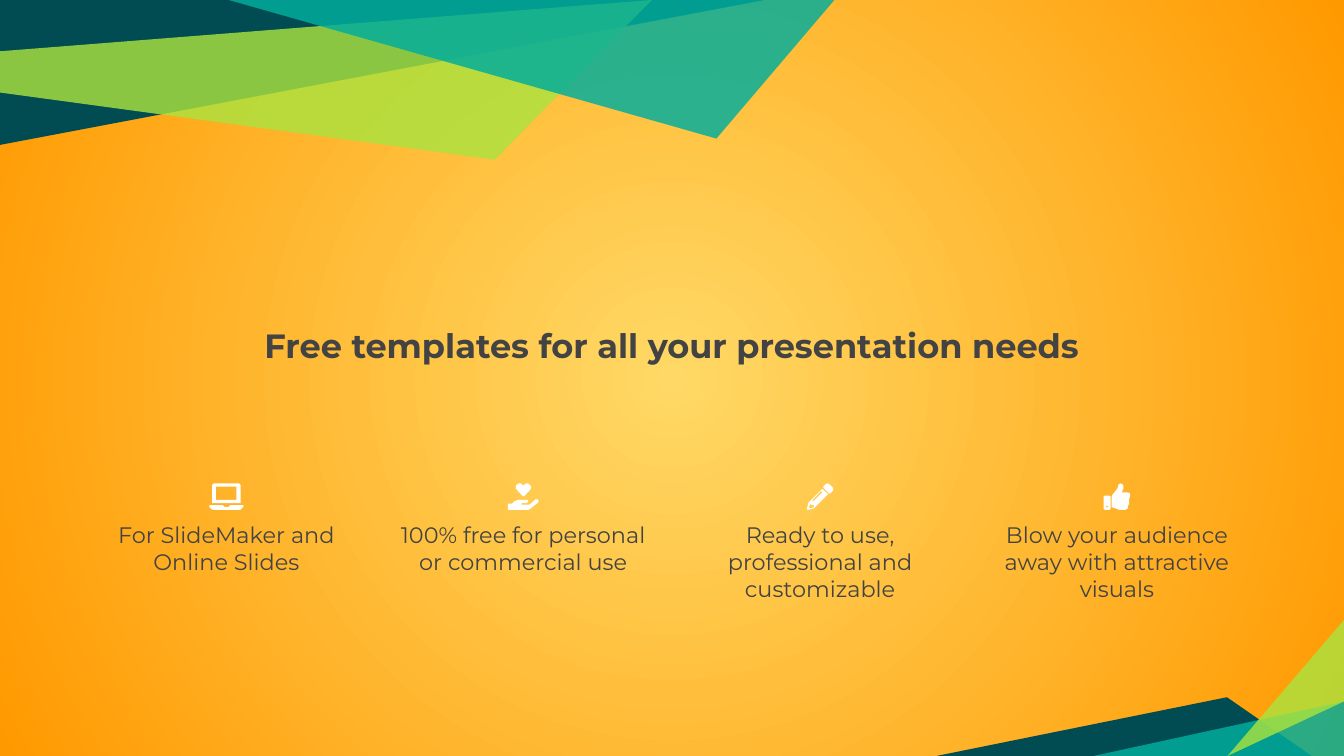
from lxml import etree
from pptx import Presentation
from pptx import util as u
from pptx.dml.color import RGBColor
from pptx.enum import text
from pptx.oxml.ns import qn

COLORS = {
    "glow": "FFD966", "edge": "FF9900", "dark": "004C52",
    "lime": "ABE33F", "teal": "00AE9D", "ink": "434343", "white": "FFFFFF",
}
FONT = "Montserrat"
SLIDE_WIDTH, SLIDE_HEIGHT = 25.4, 14.29

# Corner facets: colour, opacity in percent, corner points in cm
TOP_FACETS = [
    ("dark", 100, [(0, 0), (0, 2.74), (14.45, 0)]),
    ("lime", 81, [(0, 0.97), (0, 1.75), (9.35, 3.02), (12.32, 0)]),
    ("teal", 83, [(4.32, 0), (13.54, 2.62), (15.77, 0)]),
]
BOTTOM_FACETS = [
    ("dark", 100, [(0, 2.57), (7.09, 2.57), (5.49, 1.46)]),
    ("teal", 83, [(7.7, 1.54), (7.7, 2.57), (2.97, 2.57)]),
    ("lime", 81, [(7.7, 1.54), (7.7, 0), (5.5, 2.57)]),
]

# Icon outlines in hundredths of a cm
LAPTOP = [
    [(5, 3), (8, 0), (56, 0), (59, 3), (59, 37), (5, 37)],
    [(12, 6), (51, 6), (51, 31), (12, 31)],
    [(0, 41), (25, 41), (28, 44), (36, 44), (39, 41), (64, 41), (64, 44),
     (58, 50), (6, 50), (0, 45)],
]
HEART_IN_HAND = [
    [(20, 0), (15, 4), (15, 10), (18, 13), (28, 24), (31, 24), (41, 13),
     (44, 9), (43, 4), (38, 0), (34, 0), (29, 4), (25, 0)],
    [(20, 31), (13, 33), (8, 38), (1, 38), (0, 39), (0, 49), (1, 50), (38, 50),
     (42, 48), (57, 36), (58, 33), (56, 30), (52, 30), (43, 38), (40, 40),
     (27, 40), (25, 39), (27, 37), (35, 37), (38, 35), (38, 32), (36, 31)],
]
PENCIL = [
    [(40, 0), (36, 1), (31, 6), (31, 8), (42, 19), (44, 19), (49, 14),
     (50, 11), (49, 8), (42, 1)],
    [(29, 10), (3, 36), (0, 48), (2, 50), (13, 47), (40, 20)],
    [(28, 15), (29, 17), (13, 33), (11, 33), (10, 32), (26, 15)],
    [(8, 36), (8, 41), (13, 41), (13, 45), (6, 47), (4, 44)],
]
THUMB_UP = [
    [(0, 24), (2, 23), (11, 23), (13, 25), (13, 48), (11, 50), (2, 50), (0, 48)],
    [(6, 41), (8, 43), (6, 46), (4, 43)],
    [(31, 0), (28, 2), (26, 9), (24, 12), (19, 18), (16, 22), (15, 24),
     (15, 45), (20, 46), (30, 50), (40, 50), (45, 48), (46, 42), (48, 38),
     (48, 30), (50, 22), (49, 18), (45, 17), (34, 17), (37, 10), (37, 4), (35, 1)],
]
FEATURES = [
    (LAPTOP, "For SlideMaker and Online Slides"),
    (HEART_IN_HAND, "100% free for personal or commercial use"),
    (PENCIL, "Ready to use, professional and customizable"),
    (THUMB_UP, "Blow your audience away with attractive visuals"),
]


def rgb(name):
    return RGBColor.from_string(COLORS[name])


def add_outline(slide, left, top, contours, color, opacity=100, unit=1):
    """Draw closed contours, given in units of cm from left and top, as one shape."""
    builder = None
    for contour in contours:
        points = [(u.Cm(left + x * unit), u.Cm(top + y * unit)) for x, y in contour]
        if builder is None:
            builder = slide.shapes.build_freeform(*points[0])
        else:
            builder.move_to(*points[0])
        builder.add_line_segments(points[1:], close=True)
    shape = builder.convert_to_shape()
    shape.shadow.inherit = False
    shape.fill.solid()
    shape.fill.fore_color.rgb = rgb(color)
    shape.line.fill.background()
    if opacity < 100:
        fill_color = shape._element.spPr.find(qn("a:solidFill"))[0]
        etree.SubElement(fill_color, qn("a:alpha"), val=str(opacity * 1000))


def write(shape, words, size, bold=False):
    frame = shape.text_frame
    frame.word_wrap = True
    frame.auto_size = text.MSO_AUTO_SIZE.NONE
    frame.vertical_anchor = text.MSO_ANCHOR.TOP
    frame.margin_left = frame.margin_right = frame.margin_top = frame.margin_bottom = 0
    frame.text = words
    paragraph = frame.paragraphs[0]
    paragraph.alignment = text.PP_ALIGN.CENTER
    font = paragraph.font
    font.name, font.size, font.bold = FONT, u.Pt(size), bold
    font.color.rgb = rgb("ink")


def paint_background(slide):
    fill = slide.background.fill
    fill.gradient()
    for stop, name in zip(fill.gradient_stops, ("glow", "edge")):
        stop.color.rgb = rgb(name)
    gradient = slide._element.find(".//" + qn("a:gradFill"))
    linear = gradient.find(qn("a:lin"))
    circle = etree.Element(qn("a:path"), path="circle")
    etree.SubElement(circle, qn("a:fillToRect"),
                     {side: "50000" for side in "ltrb"})
    gradient.replace(linear, circle)


def add_corner(slide, left, top, facets):
    for color, opacity, points in facets:
        add_outline(slide, left, top, [points], color, opacity)


def add_title(slide, left, top, width, height):
    title = slide.shapes.title
    title.left, title.top = u.Cm(left), u.Cm(top)
    title.width, title.height = u.Cm(width), u.Cm(height)
    write(title, "Free templates for all your presentation needs", 18, bold=True)


def add_feature(slide, left, top, width, icon, caption):
    """Centre an icon over its caption in a column."""
    icon_width = max(x for contour in icon for x, y in contour) / 100
    add_outline(slide, left + (width - icon_width) / 2, top, icon, "white", unit=0.01)
    box = slide.shapes.add_textbox(u.Cm(left), u.Cm(top + 0.72), u.Cm(width), u.Cm(1.78))
    write(box, caption, 12)


def main():
    presentation = Presentation()
    presentation.slide_width = u.Cm(SLIDE_WIDTH)
    presentation.slide_height = u.Cm(SLIDE_HEIGHT)
    slide = presentation.slides.add_slide(presentation.slide_layouts[5])
    paint_background(slide)
    add_corner(slide, 0, 0, TOP_FACETS)
    add_corner(slide, SLIDE_WIDTH - 7.7, SLIDE_HEIGHT - 2.57, BOTTOM_FACETS)
    add_title(slide, 3.07, 6.15, 19.25, 0.74)
    for column, (icon, caption) in enumerate(FEATURES):
        add_feature(slide, 1.93 + column * 5.61, 9.14, 4.7, icon, caption)
    presentation.save("out.pptx")


if __name__ == "__main__":
    main()
